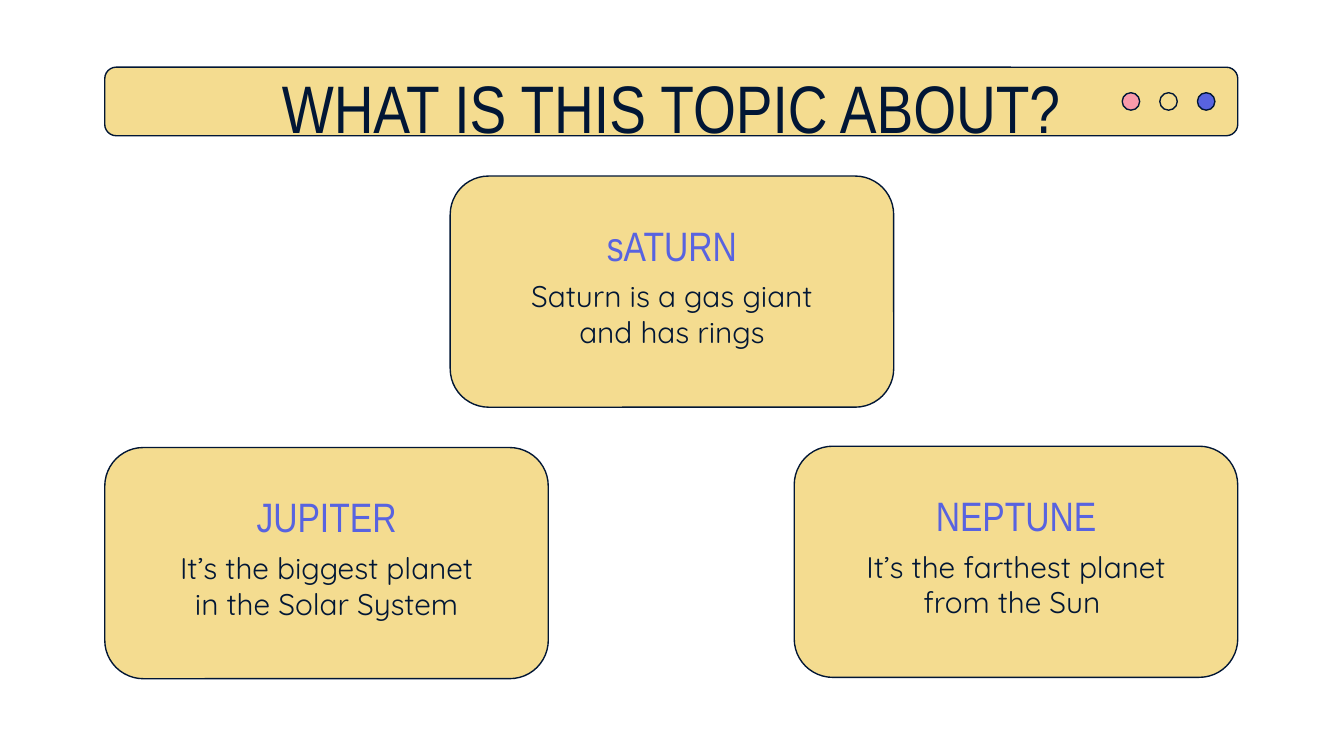
from dataclasses import dataclass

from pptx import Presentation
from pptx.dml.color import RGBColor
from pptx.enum.shapes import MSO_SHAPE
from pptx.enum.text import MSO_ANCHOR, PP_ALIGN
from pptx.util import Inches, Pt


@dataclass(frozen=True)
class Theme:
    sand: str = "F4DC90"
    navy: str = "011635"
    violet: str = "5863E0"
    pink: str = "F99AAA"
    display_font: str = "Arial Narrow"
    body_font: str = "Quicksand"
    title_size: int = 36
    heading_size: int = 22
    body_size: int = 16
    outline: float = 0.75


THEME = Theme()
CARD_WIDTH, CARD_HEIGHT = 3.3, 1.72
PLANETS = [
    ("JUPITER", "It’s the biggest planet in the Solar System", 0.78, 3.33),
    ("NEPTUNE", "It’s the farthest planet from the Sun ", 5.91, 3.32),
    ("sATURN", "Saturn is a gas giant and has rings", 3.35, 1.31),
]


def add_outlined(page, kind, left, top, width, height, fill):
    shape = page.shapes.add_shape(
        kind, Inches(left), Inches(top), Inches(width), Inches(height))
    shape.shadow.inherit = False
    shape.fill.solid()
    shape.fill.fore_color.rgb = RGBColor.from_string(fill)
    shape.line.color.rgb = RGBColor.from_string(THEME.navy)
    shape.line.width = Pt(THEME.outline)


def add_text(page, text, left, top, width, height, font, size, color):
    box = page.shapes.add_textbox(
        Inches(left), Inches(top), Inches(width), Inches(height))
    frame = box.text_frame
    frame.word_wrap = True
    frame.vertical_anchor = MSO_ANCHOR.TOP
    frame.margin_left = frame.margin_right = 0
    frame.margin_top = frame.margin_bottom = 0
    para = frame.paragraphs[0]
    para.alignment = PP_ALIGN.CENTER
    span = para.add_run()
    span.text = text
    span.font.name = font
    span.font.size = Pt(size)
    span.font.color.rgb = RGBColor.from_string(color)


def add_title_bar(page, title, left, top, width, height):
    """Draw a window-style bar with three round buttons at its right end."""
    add_outlined(page, MSO_SHAPE.ROUNDED_RECTANGLE, left, top, width, height, THEME.sand)
    button, pitch = 0.13, 0.28
    first = left + width - 0.86
    for index, color in enumerate((THEME.pink, THEME.sand, THEME.violet)):
        add_outlined(page, MSO_SHAPE.OVAL, first + index * pitch,
                     top + (height - button) / 2, button, button, color)
    inset = 0.71
    add_text(page, title, left + inset, top - 0.01, width - 2 * inset, 0.63,
             THEME.display_font, THEME.title_size, THEME.navy)


def add_planet_card(page, name, fact, left, top, width, height):
    add_outlined(page, MSO_SHAPE.ROUNDED_RECTANGLE, left, top, width, height, THEME.sand)
    inset = 0.46
    text_width = width - 2 * inset
    add_text(page, name, left + inset, top + 0.33, text_width, 0.32,
             THEME.display_font, THEME.heading_size, THEME.violet)
    add_text(page, fact, left + inset, top + 0.76, text_width, 0.63,
             THEME.body_font, THEME.body_size, THEME.navy)


def main():
    deck = Presentation()
    deck.slide_width = Inches(10)
    deck.slide_height = deck.slide_width * 9 // 16
    page = deck.slides.add_slide(deck.slide_layouts[6])
    add_title_bar(page, "WHAT IS THIS TOPIC ABOUT?", 0.78, 0.5, 8.43, 0.51)
    for name, fact, left, top in PLANETS:
        add_planet_card(page, name, fact, left, top, CARD_WIDTH, CARD_HEIGHT)
    deck.save("out.pptx")


if __name__ == "__main__":
    main()
